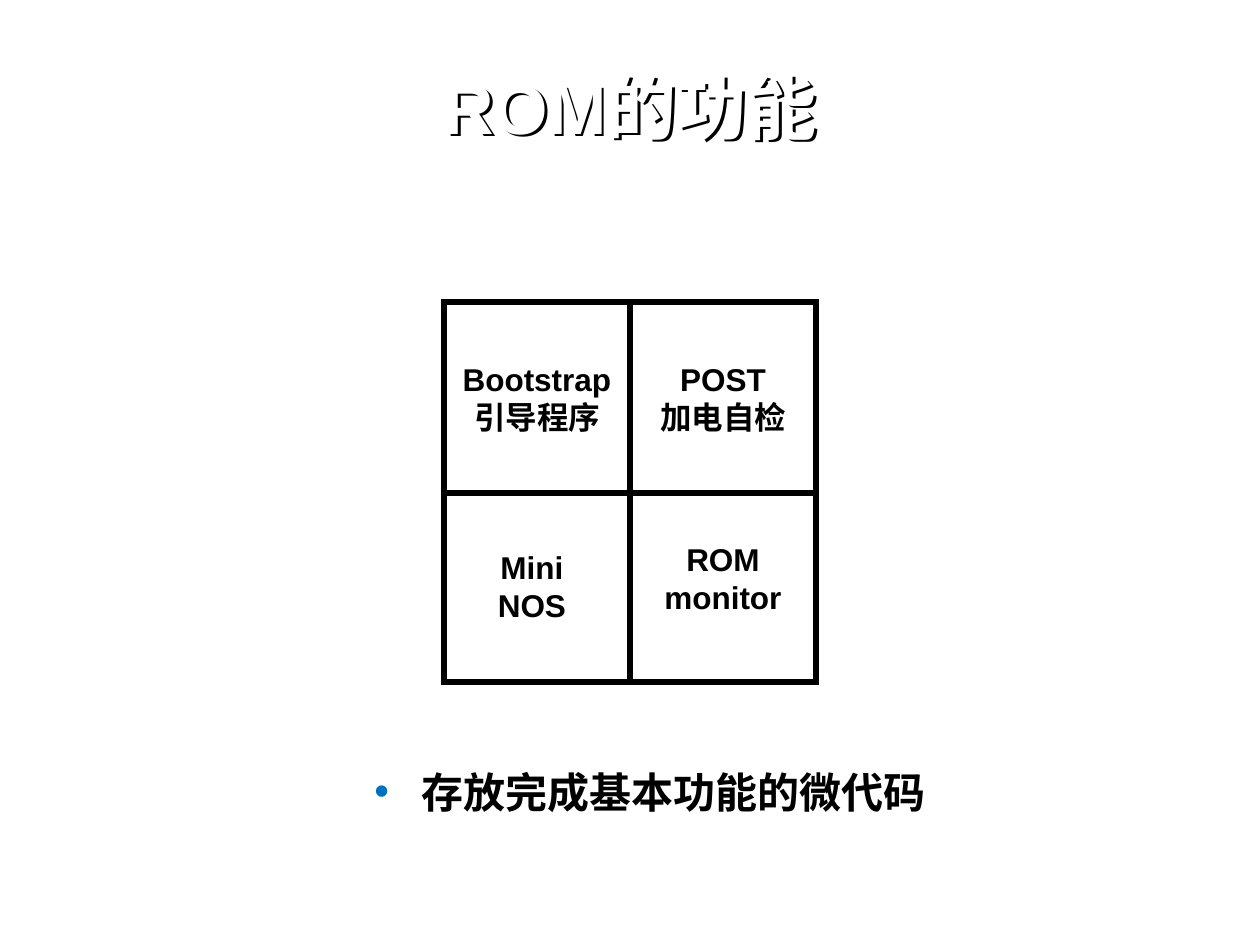
from lxml.etree import SubElement
from pptx import Presentation
from pptx.dml.color import RGBColor
from pptx.enum.shapes import MSO_CONNECTOR, MSO_SHAPE
from pptx.enum.text import MSO_ANCHOR, MSO_AUTO_SIZE, PP_ALIGN
from pptx.oxml.ns import qn
from pptx.util import Pt

SCALE = 914400 / 126
COLORS = {"ink": "000000", "paper": "FFFFFF", "dot": "0070C0"}
CELLS = [
    ("Bootstrap\n引导程序", (446, 354, 182, 88), True),
    ("Mini NOS", (450, 561, 164, 50), False),
    ("ROM\vmonitor", (648, 534, 150, 88), False),
    ("POST\n加电自检", (643, 354, 160, 88), False),
]


def emu(px):
    """Turn px into EMU."""
    return round(px * SCALE)


def color(name):
    """Look up a colour by name."""
    return RGBColor.from_string(COLORS[name])


def place(shape, box):
    """Set the place and size of a shape."""
    shape.left, shape.top, shape.width, shape.height = map(emu, box)


def style(frame, size, ink):
    """Centre the text and format its runs."""
    frame.vertical_anchor = MSO_ANCHOR.MIDDLE
    for para in frame.paragraphs:
        para.alignment = PP_ALIGN.CENTER
        for run in para.runs:
            font = run.font
            font.name, font.size, font.bold = "Arial", Pt(size), True
            font.color.rgb = color(ink)


def add_title(slide, text, box):
    """Fill the title and give its letters a shadow."""
    title = slide.shapes.title
    place(title, box)
    title.fill.background()
    frame = title.text_frame
    frame.text = text
    style(frame, 40, "paper")
    frame.paragraphs[0].line_spacing = 0.9
    effects = SubElement(title._element.spPr, qn("a:effectLst"))
    shadow = SubElement(effects, qn("a:outerShdw"), dist="25400", dir="2700000")
    SubElement(shadow, qn("a:srgbClr"), val=COLORS["ink"])


def add_label(slide, text, box, size=18, wrap=False):
    """Add a centred bold label."""
    label = slide.shapes.add_textbox(*map(emu, box))
    frame = label.text_frame
    frame.text = text
    frame.word_wrap = wrap
    frame.auto_size = MSO_AUTO_SIZE.SHAPE_TO_FIT_TEXT
    style(frame, size, "ink")
    return frame


def add_bullet(para):
    """Put a coloured dot before a paragraph."""
    props = para._p.get_or_add_pPr()
    props.set("marL", "342900")
    props.set("indent", "-342900")
    tint = SubElement(props, qn("a:buClr"))
    SubElement(tint, qn("a:srgbClr"), val=COLORS["dot"])
    SubElement(props, qn("a:buFont"), typeface="Arial")
    SubElement(props, qn("a:buChar"), char="•")


def set_line(shape):
    """Draw a thick ink line with sharp corners."""
    line = shape.line
    line.color.rgb = color("ink")
    line.width = Pt(3)
    SubElement(line._get_or_add_ln(), qn("a:miter"), lim="800000")


def add_frame(slide, box):
    """Add the outer square."""
    shape = slide.shapes.add_shape(MSO_SHAPE.RECTANGLE, *map(emu, box))
    shape.shadow.inherit = False
    shape.fill.background()
    set_line(shape)


def add_rule(slide, ends):
    """Add a straight dividing line."""
    rule = slide.shapes.add_connector(MSO_CONNECTOR.STRAIGHT, *map(emu, ends))
    set_line(rule)
    SubElement(rule._element.spPr, qn("a:effectLst"))


def main():
    """Build and save the slide."""
    deck = Presentation()
    deck.slide_width, deck.slide_height = emu(1260), emu(945)
    slide = deck.slides.add_slide(deck.slide_layouts[5])
    add_title(slide, "ROM的功能", (0, 33, 1260, 157))
    add_frame(slide, (444, 302, 372, 380))
    for ends in ((441, 493, 814, 493), (630, 300, 630, 683)):
        add_rule(slide, ends)
    note = add_label(slide, "存放完成基本功能的微代码", (356, 760, 588, 63), 24)
    add_bullet(note.paragraphs[0])
    for text, box, wrap in CELLS:
        add_label(slide, text, box, wrap=wrap)
    deck.save("out.pptx")


if __name__ == "__main__":
    main()
